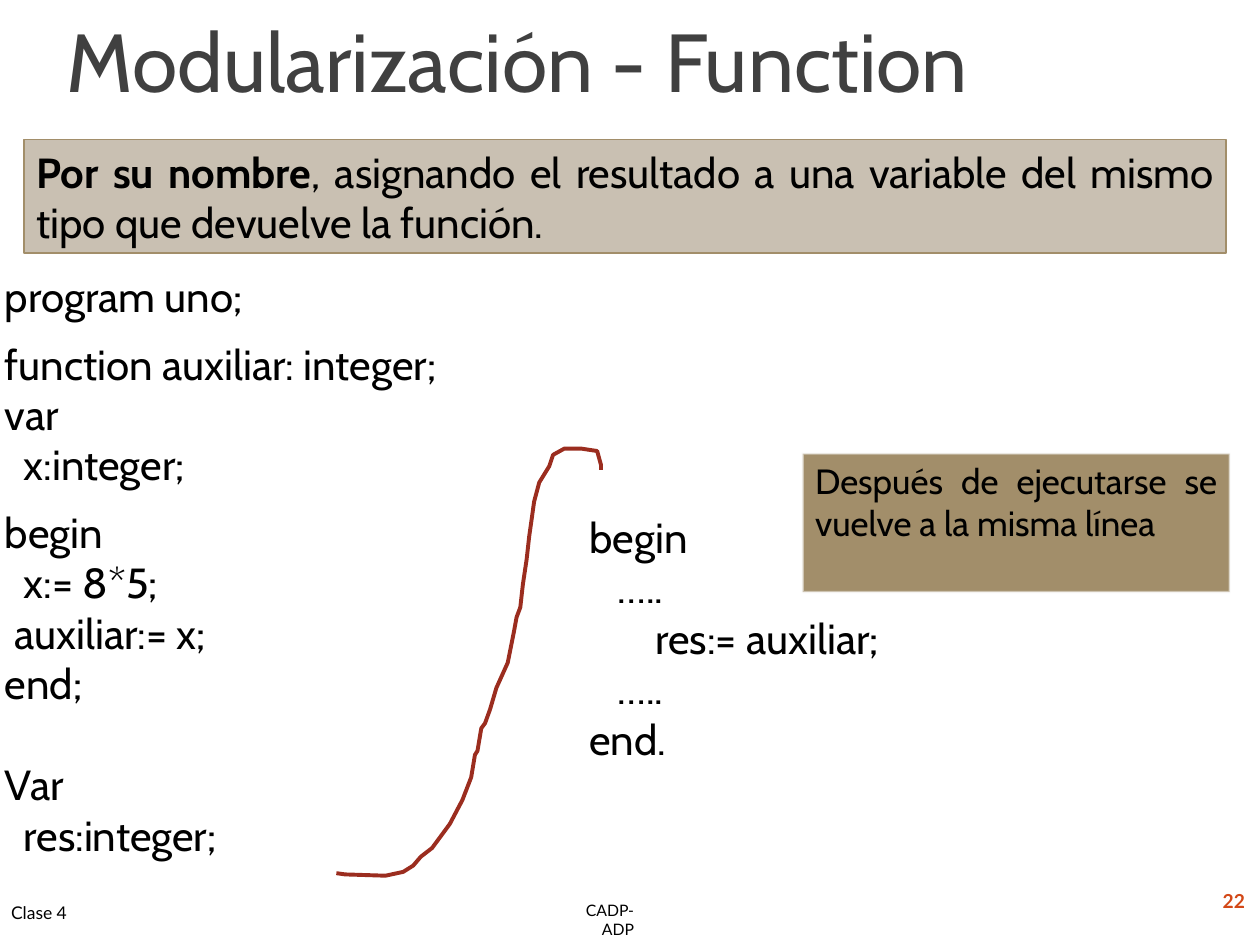
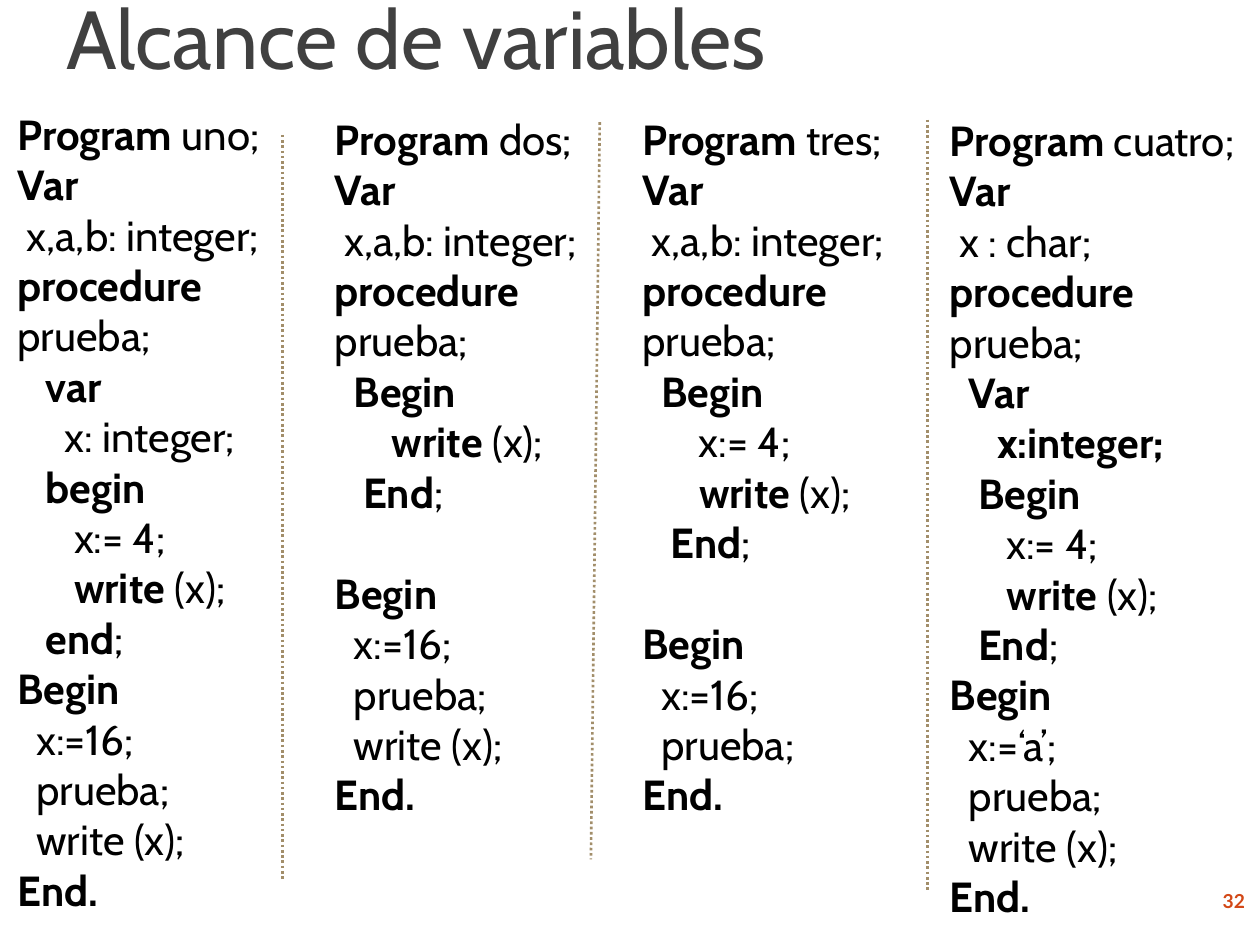
from dataclasses import dataclass

from lxml import etree
from pptx import Presentation
from pptx import util as u
from pptx.dml.color import RGBColor
from pptx.enum import dml, shapes, text
from pptx.oxml.ns import qn


@dataclass(frozen=True)
class Theme:
    ink: str = "000000"
    title_ink: str = "404040"
    accent: str = "D34817"
    band: str = "C9C0B2"
    taupe: str = "A28E6A"
    pale: str = "F9F9F9"
    paper: str = "FFFFFF"
    curve: str = "9B2D1F"
    body_font: str = "Cabin"
    footer_font: str = "Lato"
    title_size: int = 47
    code_size: int = 24
    note_size: int = 20
    page_size: int = 11
    class_size: int = 10
    course_size: int = 9


T = Theme()
LINE_GAP = 29
HALF_GAP = 9.7

MAIN_CODE = """program uno;
function auxiliar: integer;
var
  x:integer;
begin
  x:= 8*5;
 auxiliar:= x;
end;
Var
  res:integer;"""

CALL_CODE = """begin
   …..
       res:= auxiliar;
   …..
end."""

PROGRAM_UNO = """|Program| uno;
|Var
 x,a,b: integer;
|procedure| prueba;
   |var
     x: integer;
   |begin
      x:= 4;
      |write| (x);
   |end|;
|Begin
  x:=16;
  prueba;
  write (x);
|End."""

PROGRAM_DOS = """|Program| dos;
|Var
 x,a,b: integer;
|procedure| prueba;
|  Begin
      |write| (x);
   |End|;
|Begin
  x:=16;
  prueba;
  write (x);
|End."""

PROGRAM_TRES = """|Program| tres;
|Var
 x,a,b: integer;
|procedure| prueba;
|  Begin
      x:= 4;
      |write| (x);
   |End|;
|Begin
  x:=16;
  prueba;
|End."""

PROGRAM_CUATRO = """|Program| cuatro;
|Var
 x : char;
|procedure| prueba;
|  Var
|     x:integer;
|   Begin
      x:= 4;
      |write| (x);
   |End|;
|Begin
  x:=‘a’;
  prueba;
  write (x);
|End."""

RETURN_CURVE = [
    (0, 3.38), (0.07, 3.39), (0.39, 3.4), (0.53, 3.37), (0.61, 3.32), (0.67, 3.25),
    (0.76, 3.18), (0.9, 2.99), (1, 2.8), (1.07, 2.62), (1.1, 2.44), (1.12, 2.41),
    (1.15, 2.23), (1.18, 2.19), (1.22, 2.08), (1.27, 1.91), (1.36, 1.71), (1.38, 1.61),
    (1.41, 1.46), (1.43, 1.35), (1.46, 1.27), (1.48, 1.09), (1.51, 0.89), (1.53, 0.71),
    (1.57, 0.43), (1.61, 0.28), (1.69, 0.15), (1.72, 0.06), (1.81, 0.01), (1.94, 0.01),
    (2.07, 0.03), (2.1, 0.14), (2.1, 0.18),
]


def rgb(value):
    return RGBColor.from_string(value)


def inches(*values):
    return [u.Inches(v) for v in values]


def write_lines(sp, content, size=T.code_size, font=T.body_font, color=T.ink,
                bold=False, gaps=None, para=None, anchor=text.MSO_ANCHOR.TOP):
    tf = sp.text_frame
    tf.word_wrap = True
    tf.vertical_anchor = anchor
    para = {"alignment": text.PP_ALIGN.LEFT, **(para or {})}
    for i, line in enumerate(content.split("\n")):
        p = tf.paragraphs[0] if i == 0 else tf.add_paragraph()
        for name, value in para.items():
            setattr(p, name, value)
        if gaps and i in gaps:
            p.space_before = u.Pt(gaps[i])
        for j, part in enumerate(line.split("|")):
            if part:
                r = p.add_run()
                r.text = part
                style = {"size": u.Pt(size), "name": font, "bold": bold or j % 2 == 1}
                for name, value in style.items():
                    setattr(r.font, name, value)
                r.font.color.rgb = rgb(color)


def add_text(s, box, content, **style):
    sp = s.shapes.add_textbox(*inches(*box))
    write_lines(sp, content, **style)


def add_panel(s, box, content, fill, line, width, size):
    sp = s.shapes.add_shape(shapes.MSO_SHAPE.RECTANGLE, *inches(*box))
    paint(sp, fill, line, width)
    write_lines(sp, content, size=size, para={"alignment": text.PP_ALIGN.JUSTIFY})
    return sp


def paint(sp, fill, line, width):
    sp.shadow.inherit = False
    sp.fill.solid()
    sp.fill.fore_color.rgb = rgb(fill)
    sp.line.color.rgb = rgb(line)
    sp.line.width = u.Pt(width)


def add_title(s, top, content):
    add_text(s, (0.43, top, 8.98, 0.84), content, size=T.title_size,
             color=T.title_ink, para={"line_spacing": 0.85})


def add_footer(s, page, labels=False):
    right = {"alignment": text.PP_ALIGN.RIGHT}
    style = {"font": T.footer_font, "anchor": text.MSO_ANCHOR.MIDDLE}
    add_text(s, (8.72, 6.95, 1.26, 0.4), page, size=T.page_size, color=T.accent,
             bold=True, para=right, **style)
    if labels:
        add_text(s, (-0.01, 7.04, 0.84, 0.41), "Clase 4", size=T.class_size, **style)
        add_text(s, (4.29, 7.1, 0.84, 0.4), "CADP- ADP", size=T.course_size,
                 para=right, **style)


def add_return_curve(s, left, top):
    points = [inches(left + x, top + y) for x, y in RETURN_CURVE]
    builder = s.shapes.build_freeform(*points[0])
    builder.add_line_segments(points[1:], close=False)
    paint(builder.convert_to_shape(), T.paper, T.curve, 2.25)


def add_divider(s, start, end):
    line = s.shapes.add_connector(shapes.MSO_CONNECTOR.STRAIGHT, *inches(*start, *end))
    line.line.color.rgb = rgb(T.taupe)
    line.line.width = u.Pt(1.5)
    line.line.dash_style = dml.MSO_LINE.ROUND_DOT
    etree.SubElement(line._element.spPr, qn("a:effectLst"))


def function_slide(prs):
    s = prs.slides.add_slide(prs.slide_layouts[6])
    add_title(s, 0.15, "Modularización - Function")
    add_footer(s, "22", labels=True)
    add_text(s, (-0.06, 2.1, 4.13, 4.77), MAIN_CODE,
             gaps={1: HALF_GAP, 4: HALF_GAP, 8: LINE_GAP})
    add_text(s, (4.58, 4.01, 2.9, 2.1), CALL_CODE)
    add_panel(s, (0.19, 1.11, 9.54, 0.9),
              "|Por su nombre|, asignando el resultado a una variable del mismo "
              "tipo que devuelve la función.", T.band, T.taupe, 0.75, T.code_size)
    note = add_panel(s, (6.37, 3.6, 3.39, 1.1),
                     "Después de ejecutarse se vuelve a la misma línea",
                     T.taupe, T.pale, 1.36, T.note_size)
    line_color = note.line._ln.find(".//" + qn("a:srgbClr"))
    etree.SubElement(line_color, qn("a:alpha"), val="50000")
    add_return_curve(s, 2.67, 3.55)


def scope_slide(prs):
    s = prs.slides.add_slide(prs.slide_layouts[6])
    add_title(s, -0.03, "Alcance de variables")
    add_footer(s, "32")
    columns = [
        (0.04, 0.81, 2.2, 6.5, PROGRAM_UNO, {}),
        (2.56, 0.85, 2.52, 5.7, PROGRAM_DOS, {7: LINE_GAP}),
        (5, 0.85, 2.52, 5.7, PROGRAM_TRES, {8: LINE_GAP}),
        (7.44, 0.86, 2.52, 6.5, PROGRAM_CUATRO, {}),
    ]
    for *box, code, gaps in columns:
        add_text(s, box, code, gaps=gaps)
    dividers = [((2.24, 1.07), (2.24, 6.98)), ((4.76, 0.97), (4.69, 6.82)),
                ((7.36, 0.95), (7.36, 7.07))]
    for start, end in dividers:
        add_divider(s, start, end)


def main():
    prs = Presentation()
    prs.slide_width, prs.slide_height = inches(10, 7.5)
    function_slide(prs)
    scope_slide(prs)
    prs.save("out.pptx")


if __name__ == "__main__":
    main()
